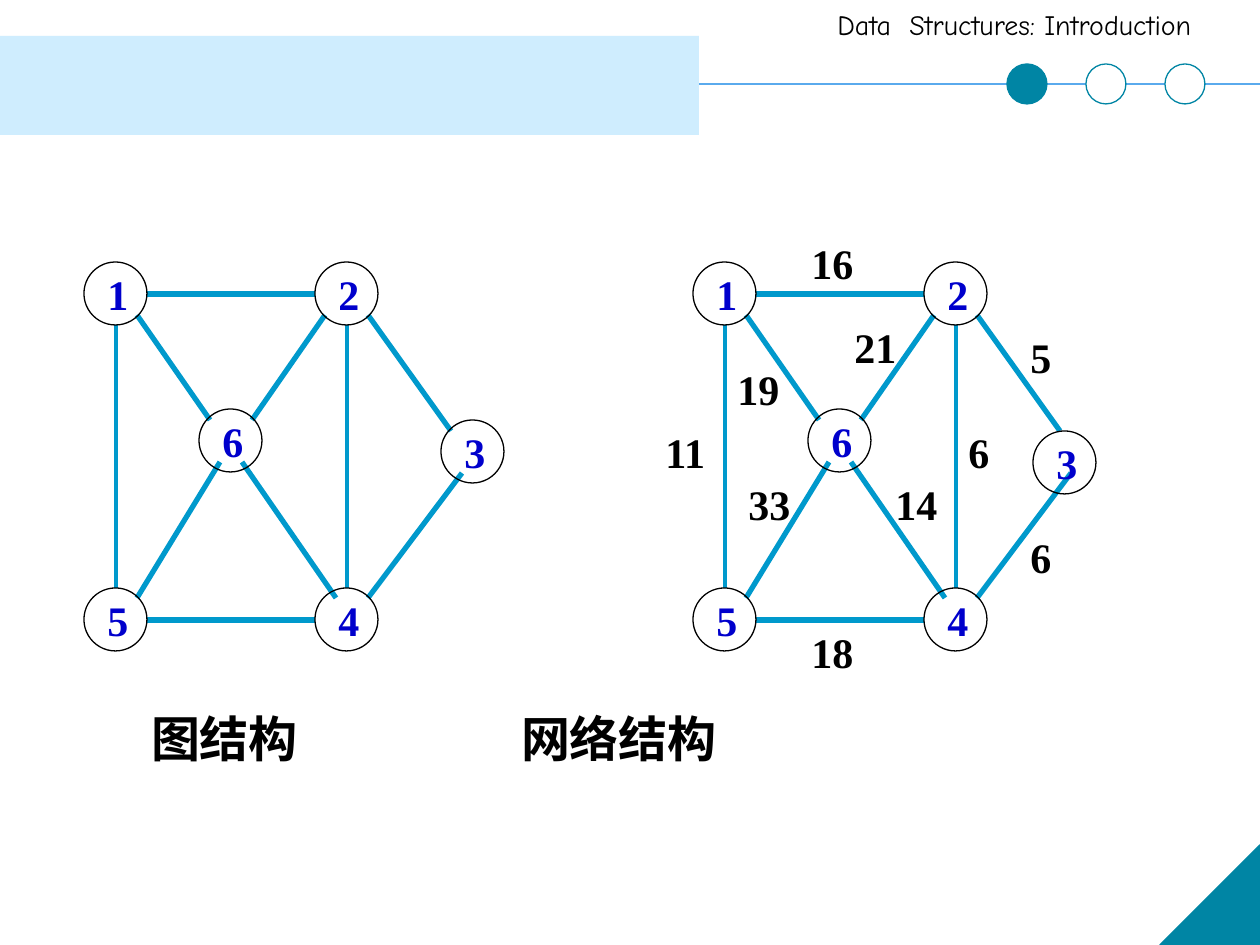
from lxml import etree
from pptx import Presentation, util as u
from pptx.dml import color
from pptx.enum import shapes, text
from pptx.oxml import ns

THEME = {
    "teal": "0085A4", "rule": "5AAAED", "band": "CFEDFE", "white": "FFFFFF",
    "edge": "0099CC", "number": "0000CC", "ink": "000000",
    "latin": "Times New Roman", "header": "Comic Neue", "chinese": "Noto Sans CJK SC",
    "header_size": 16, "label_size": 24, "caption_size": 28,
}
NODE = 63
NODES = {"1": (84, 262), "2": (315, 262), "3": (441, 420),
         "4": (315, 588), "5": (84, 588), "6": (199, 409)}
EDGES = [
    ("1", (63, 32), "2", (0, 32), 3), ("5", (63, 32), "4", (0, 32), 3),
    ("1", (32, 63), "5", (32, 0), 2.25), ("2", (32, 63), "4", (32, 0), 2.25),
    ("1", (53, 53), "6", (11, 11), 3), ("2", (10, 53), "6", (53, 11), 3),
    ("2", (53, 53), "3", (10, 11), 3), ("3", (21, 53), "4", (53, 10), 3),
    ("6", (21, 53), "5", (53, 10), 3), ("6", (43, 53), "4", (21, 10), 3),
]
GRAPHS = [(0, (0, 0)), (609, (-17, 11))]
WEIGHTS = [
    ("11", 653, 420, 66), ("33", 736, 472, 68), ("18", 799, 620, 68),
    ("14", 883, 472, 68), ("6", 956, 420, 47), ("6", 1018, 525, 47),
    ("5", 1018, 325, 47), ("16", 799, 231, 68), ("19", 725, 357, 68),
    ("21", 842, 315, 68),
]


def px(length):
    return u.Emu(round(length * 914400 / 126))


def rgb(name):
    return color.RGBColor.from_string(THEME[name])


presentation = Presentation()
presentation.slide_width, presentation.slide_height = px(1260), px(945)
slide = presentation.slides.add_slide(presentation.slide_layouts[6])

lines = [(0, 84, 1260, 84, "rule", 1)]
outlines = [
    (shapes.MSO_SHAPE.RIGHT_TRIANGLE, 1160, 845, 100, 100, "teal", "teal"),
    (shapes.MSO_SHAPE.RECTANGLE, 0, 36, 699, 99, "band", None),
]
for index, fill in enumerate(["teal", "white", "white"]):
    outlines.append((shapes.MSO_SHAPE.OVAL, 1007 + 79 * index, 64, 40, 40, fill, "teal"))

labels = [
    (["Data", "Structures: Introduction"], 825, 1, 435, 47, 72, "header", "header_size", "ink", False),
    (["图结构", "网络结构"], 136, 701, 866, 74, 370, "chinese", "caption_size", "ink", True),
]
for offset, (shift_x, shift_y) in GRAPHS:
    for start, (start_x, start_y), end, (end_x, end_y), width in EDGES:
        lines.append((NODES[start][0] + start_x + offset, NODES[start][1] + start_y,
                      NODES[end][0] + end_x + offset, NODES[end][1] + end_y, "edge", width))
    for number, (left, top) in NODES.items():
        left += offset
        if number == "3":
            left, top = left + shift_x, top + shift_y
        outlines.append((shapes.MSO_SHAPE.OVAL, left, top, NODE, NODE, None, "ink"))
        labels.append(([number], left + 11, top, 47, 64, None, "latin", "label_size", "number", True))
for weight, left, top, width in WEIGHTS:
    labels.append(([weight], left, top, width, 64, None, "latin", "label_size", "ink", True))

for start_x, start_y, end_x, end_y, line_color, width in lines:
    connector = slide.shapes.add_connector(
        shapes.MSO_CONNECTOR.STRAIGHT, px(start_x), px(start_y), px(end_x), px(end_y))
    connector.line.color.rgb = rgb(line_color)
    connector.line.width = u.Pt(width)
    etree.SubElement(connector.element.spPr, ns.qn("a:effectLst"))

for kind, left, top, width, height, fill, line_color in outlines:
    shape = slide.shapes.add_shape(kind, px(left), px(top), px(width), px(height))
    shape.shadow.inherit = False
    if kind == shapes.MSO_SHAPE.RIGHT_TRIANGLE:
        shape.element.spPr.find(ns.qn("a:xfrm")).set("flipH", "1")
    if fill:
        shape.fill.solid()
        shape.fill.fore_color.rgb = rgb(fill)
    else:
        shape.fill.background()
    if line_color:
        shape.line.color.rgb = rgb(line_color)
        shape.line.width = u.Pt(0.75)
    else:
        shape.line.fill.background()

for parts, left, top, width, height, tab, font, size, ink, bold in labels:
    box = slide.shapes.add_textbox(px(left), px(top), px(width), px(height))
    frame = box.text_frame
    frame.word_wrap = tab is not None
    frame.auto_size = text.MSO_AUTO_SIZE.SHAPE_TO_FIT_TEXT
    paragraph = frame.paragraphs[0]
    if tab:
        stops = etree.SubElement(paragraph._p.get_or_add_pPr(), ns.qn("a:tabLst"))
        etree.SubElement(stops, ns.qn("a:tab"), pos=str(px(tab)), algn="l")
    for index, part in enumerate(parts):
        run = paragraph.add_run()
        run.text = "\t" + part if index else part
        run.font.name = THEME[font]
        run.font.size = u.Pt(THEME[size])
        run.font.bold = bold
        run.font.color.rgb = rgb(ink)
        if font == "chinese":
            etree.SubElement(run.font._element, ns.qn("a:ea"), typeface=THEME[font])
            frame.margin_left = frame.margin_right = px(15)
            frame.margin_top = frame.margin_bottom = px(8)

presentation.save("out.pptx")
